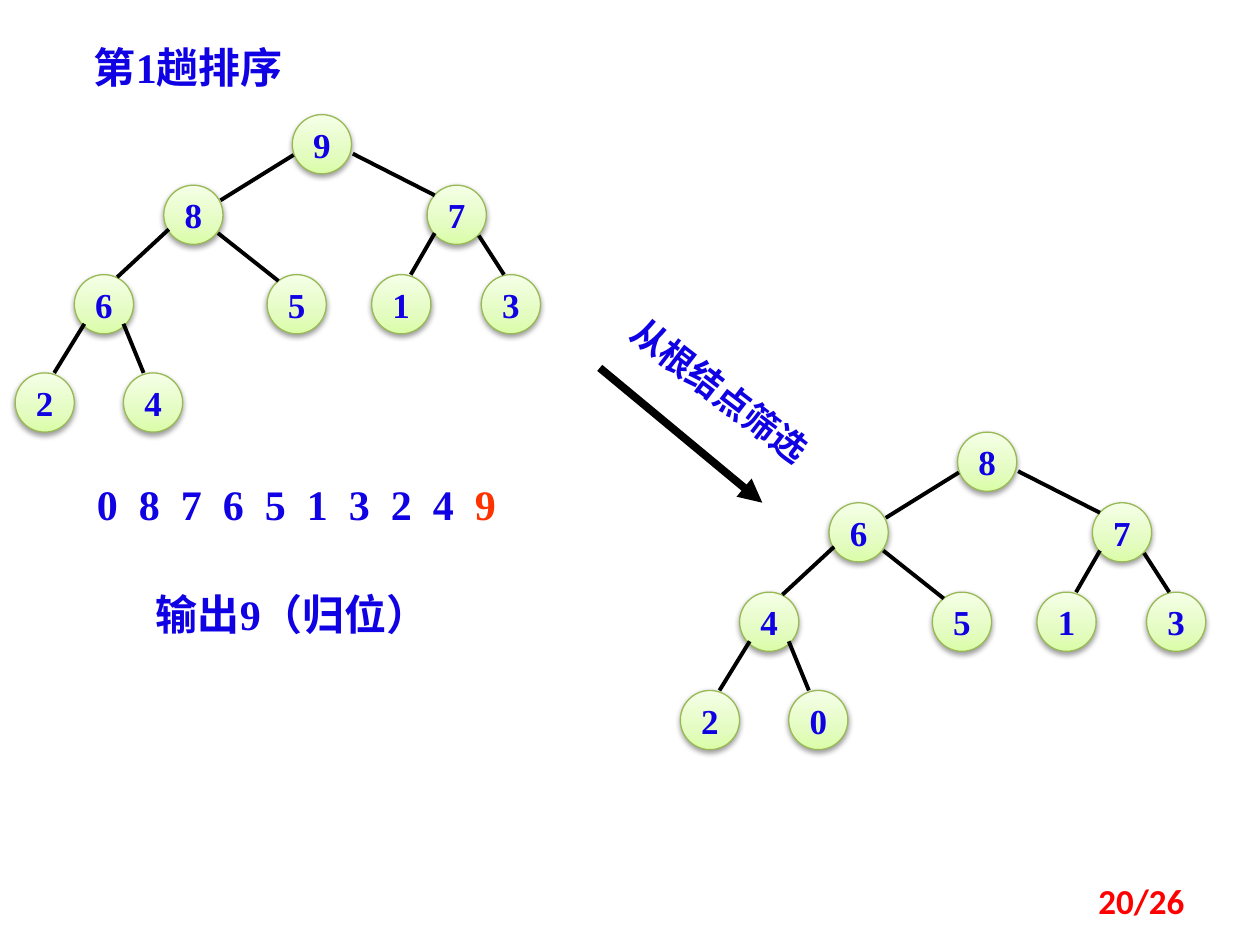
from lxml import etree
from pptx import Presentation
from pptx.dml.color import RGBColor
from pptx.enum.shapes import MSO_CONNECTOR, MSO_SHAPE
from pptx.enum.text import MSO_ANCHOR, PP_ALIGN
from pptx.oxml import parse_xml
from pptx.oxml.ns import qn
from pptx.util import Inches, Pt

OVAL = MSO_SHAPE.OVAL
STRAIGHT = MSO_CONNECTOR.STRAIGHT
TOP, MIDDLE = MSO_ANCHOR.TOP, MSO_ANCHOR.MIDDLE
LEFT, CENTER, RIGHT = PP_ALIGN.LEFT, PP_ALIGN.CENTER, PP_ALIGN.RIGHT
SERIF, SANS, HAN = "Times New Roman", "Calibri", "Noto Sans CJK SC"
BLUE, RED, ORANGE = "1000E4", "FF0000", "FF3300"
BLACK, GREEN = "000000", "98B955"
NS = 'xmlns:a="http://schemas.openxmlformats.org/drawingml/2006/main"'
SIZE = 0.47
SPOTS = [(2.32, 0.91), (1.3, 1.47), (3.39, 1.47), (0.59, 2.18), (2.12, 2.18),
         (2.95, 2.18), (3.82, 2.18), (0.12, 2.96), (0.98, 2.96)]
EDGES = [(2.33, 1.23, 1.75, 1.59), (2.8, 1.22, 3.45, 1.55),
         (1.34, 1.82, 0.93, 2.2), (1.73, 1.85, 2.21, 2.23),
         (3.45, 1.85, 3.26, 2.18), (3.8, 1.87, 4, 2.18),
         (0.67, 2.57, 0.43, 2.96), (0.98, 2.57, 1.14, 2.96)]
GRAD = f"""<a:gradFill {NS} rotWithShape="1"><a:gsLst>
<a:gs pos="0"><a:srgbClr val="DAFDA7"/></a:gs>
<a:gs pos="35000"><a:srgbClr val="E4FCC2"/></a:gs>
<a:gs pos="100000"><a:srgbClr val="F5FFE7"/></a:gs>
</a:gsLst><a:lin ang="16200000" scaled="1"/></a:gradFill>"""
SHADE = f"""<a:effectLst {NS}>
<a:outerShdw blurRad="40000" dist="20000" dir="5400000" rotWithShape="0">
<a:srgbClr val="000000"><a:alpha val="38000"/></a:srgbClr>
</a:outerShdw></a:effectLst>"""


def color(code):
    """Turn a hex string into a colour."""
    return RGBColor.from_string(code)


def add_run(para, text, size, code=BLUE, font=SERIF):
    """Append one bold run to a paragraph."""
    run = para.add_run()
    run.text = text
    run.font.size = Pt(size)
    run.font.bold = True
    run.font.name = font
    run.font.color.rgb = color(code)
    east = etree.SubElement(run._r.get_or_add_rPr(), qn("a:ea"))
    east.set("typeface", HAN)


def add_text(slide, box, align=CENTER, anchor=TOP):
    """Add an empty wrapped text box and return it."""
    shape = slide.shapes.add_textbox(*map(Inches, box))
    shape.text_frame.word_wrap = True
    shape.text_frame.vertical_anchor = anchor
    shape.text_frame.paragraphs[0].alignment = align
    return shape


def add_line(slide, ends, width):
    """Draw a black line between two points."""
    line = slide.shapes.add_connector(STRAIGHT, *map(Inches, ends))
    line.line.color.rgb = color(BLACK)
    line.line.width = Pt(width)
    etree.SubElement(line._element.spPr, qn("a:effectLst"))
    return line


def add_node(slide, left, top, key):
    """Draw one shaded tree node with its key."""
    node = slide.shapes.add_shape(OVAL, *map(Inches, (left, top, SIZE, SIZE)))
    node.line.color.rgb = color(GREEN)
    node.line.width = Pt(0.75)
    props = node._element.spPr
    props.find(qn("a:prstGeom")).addnext(parse_xml(GRAD))
    props.append(parse_xml(SHADE))
    frame = node.text_frame
    frame.word_wrap = False
    frame.vertical_anchor = MIDDLE
    para = frame.paragraphs[0]
    para.alignment = CENTER
    add_run(para, key, 20)


def add_tree(slide, left, top, keys):
    """Draw a heap from its keys in level order, shifted by left and top."""
    for (x, y), key in zip(SPOTS, keys):
        add_node(slide, left + x, top + y, key)
    for x1, y1, x2, y2 in EDGES:
        add_line(slide, (left + x1, top + y1, left + x2, top + y2), 2.25)


def add_step(slide, left, top):
    """Draw the thick arrow and its slanted label."""
    arrow = add_line(slide, (left, top, left + 1.29, top + 1.07), 4.5)
    tail = etree.SubElement(arrow.line._get_or_add_ln(), qn("a:tailEnd"))
    tail.set("type", "triangle")
    label = add_text(slide, (left + 0.01, top - 0.04, 1.89, 0.43))
    label.rotation = 37.5
    add_run(label.text_frame.paragraphs[0], "从根结点筛选", 20, font=HAN)


def add_row(slide, box, keys):
    """Write the array on even tab stops, with the last key in orange."""
    frame = add_text(slide, box, LEFT).text_frame
    frame.margin_left = Inches(0.5)
    para = frame.paragraphs[0]
    tabs = etree.SubElement(para._p.get_or_add_pPr(), qn("a:tabLst"))
    for i in range(1, len(keys)):
        stop = etree.SubElement(tabs, qn("a:tab"))
        stop.set("pos", str(Inches(i / 3)))
        stop.set("algn", "l")
    add_run(para, "\t".join(keys[:-1]) + "\t", 24)
    add_run(para, keys[-1], 24, ORANGE)


def main():
    """Build the heap sort slide."""
    deck = Presentation()
    deck.slide_width, deck.slide_height = Inches(10), Inches(7.5)
    slide = deck.slides.add_slide(deck.slide_layouts[6])
    add_tree(slide, 0, 0, "987651324")
    add_step(slide, 4.76, 2.92)
    add_tree(slide, 5.28, 2.52, "867451320")
    add_row(slide, (0.27, 3.75, 4.17, 0.5), "0876513249")
    for text, box in (("第1趟排序", (0.43, 0.28, 2.13, 0.5)),
                      ("输出9（归位）", (1.06, 4.62, 2.52, 0.5))):
        add_run(add_text(slide, box).text_frame.paragraphs[0], text, 24)
    page = add_text(slide, (7.17, 6.95, 2.33, 0.4), RIGHT, MIDDLE)
    add_run(page.text_frame.paragraphs[0], "20/26", 20, RED, SANS)
    deck.save("out.pptx")


if __name__ == "__main__":
    main()
